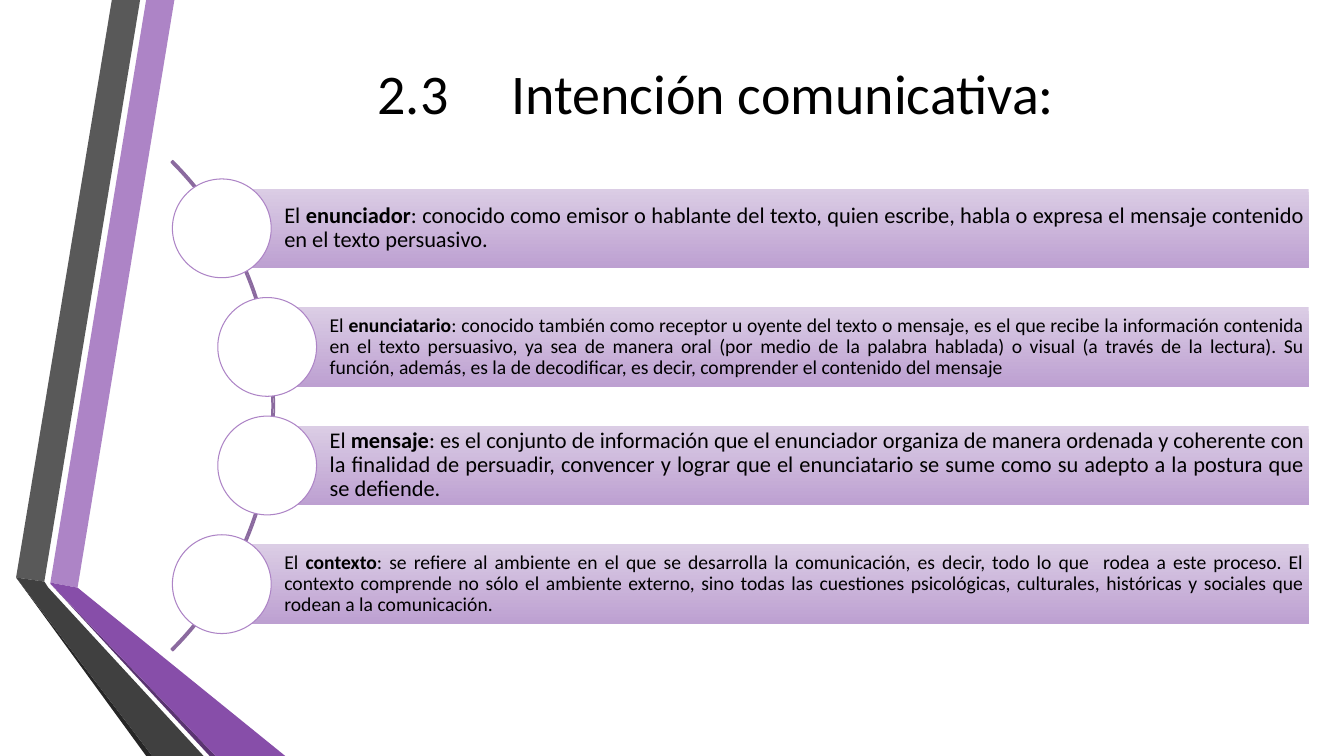
from pptx import Presentation
from pptx.dml.color import RGBColor
from pptx.enum.shapes import MSO_SHAPE
from pptx.enum.text import MSO_ANCHOR, PP_ALIGN
from pptx.util import Inches, Pt

TITLE = "2.3     Intención comunicativa:"

# bar left edge, text size key, term, explanation
CONCEPTS = [
    (2.2, "large", "enunciador",
     ": conocido como emisor o hablante del texto, quien escribe, habla o expresa "
     "el mensaje contenido en el texto persuasivo. "),
    (2.65, "small", "enunciatario",
     ": conocido también como receptor u oyente del texto o mensaje, es el que recibe "
     "la información contenida en el texto persuasivo, ya sea de manera oral (por medio "
     "de la palabra hablada) o visual (a través de la lectura). Su función, además, es "
     "la de decodificar, es decir, comprender el contenido del mensaje"),
    (2.65, "large", "mensaje",
     ": es el conjunto de información que el enunciador organiza de manera ordenada y "
     "coherente con la finalidad de persuadir, convencer y lograr que el enunciatario "
     "se sume como su adepto a la postura que se defiende."),
    (2.2, "small", "contexto",
     ": se refiere al ambiente en el que se desarrolla la comunicación, es decir, todo "
     "lo que  rodea a este proceso. El contexto comprende no sólo el ambiente externo, "
     "sino todas las cuestiones psicológicas, culturales, históricas y sociales que "
     "rodean a la comunicación."),
]

# colour key, outline points
RIBBONS = [
    ("lilac", [(0.5, 5.78), (0.77, 5.83), (1.73, 0), (1.45, 0)]),
    ("gray", [(1.39, 0), (1.11, 0), (0.16, 5.73), (0.44, 5.77)]),
    ("black_edge", [(0.16, 5.73), (1.45, 7.5), (1.51, 7.5)]),
    ("plum_edge", [(0.5, 5.79), (2.08, 7.5), (2.14, 7.5)]),
    ("purple", [(0.5, 5.79), (2.14, 7.5), (2.83, 7.5), (0.77, 5.83), (0.5, 5.78)]),
    ("dark_gray", [(2.02, 7.5), (0.48, 5.83), (0.44, 5.77), (0.16, 5.73), (1.51, 7.5)]),
]

THEME = {
    "font": "Calibri",
    "sizes": {"title": Pt(40), "large": Pt(16), "small": Pt(14)},
    "colors": {name: RGBColor.from_string(value) for name, value in {
        "text": "000000", "white": "FFFFFF", "lilac": "AD84C6", "gray": "595959",
        "black_edge": "262626", "plum_edge": "5A3471", "purple": "874EA9",
        "dark_gray": "404040", "arc": "8B6A9F",
        "bar_top": "DBCDE5", "bar_bottom": "BDA0D1",
    }.items()},
}
COLORS = THEME["colors"]

BAR_RIGHT, BAR_HEIGHT = 12.98, 0.79
FIRST_BAR_TOP, LAST_BAR_TOP = 1.87, 5.4
CIRCLE = 0.98
ARC_BOX = (-4.15, 0.59, 6.87, 6.87)
ARC_ADJUSTMENTS = (189, 27, 0.003)


def add_preset(page, preset, *box):
    shape = page.shapes.add_shape(preset, *map(Inches, box))
    shape.shadow.inherit = False
    return shape


def style_paragraph(para, size, alignment):
    para.alignment = alignment
    para.line_spacing = 0.9
    para.font.name = THEME["font"]
    para.font.size = THEME["sizes"][size]
    para.font.color.rgb = COLORS["text"]


def add_ribbon(page, color, points):
    start, *others = [(Inches(x), Inches(y)) for x, y in points]
    builder = page.shapes.build_freeform(*start)
    builder.add_line_segments(others, close=True)
    ribbon = builder.convert_to_shape()
    ribbon.shadow.inherit = False
    ribbon.fill.solid()
    ribbon.fill.fore_color.rgb = COLORS[color]
    ribbon.line.fill.background()


def add_title(page):
    box = page.shapes.add_textbox(*map(Inches, (1.62, 0, 10.96, 1.92)))
    frame = box.text_frame
    frame.word_wrap = True
    frame.vertical_anchor = MSO_ANCHOR.MIDDLE
    frame.text = TITLE
    style_paragraph(frame.paragraphs[0], "title", PP_ALIGN.CENTER)


def add_arc(page):
    arc = add_preset(page, MSO_SHAPE.BLOCK_ARC, *ARC_BOX)
    for index, value in enumerate(ARC_ADJUSTMENTS):
        arc.adjustments[index] = value
    arc.fill.background()
    arc.line.color.rgb = COLORS["arc"]
    arc.line.width = Pt(1.25)


def add_bar(page, left, top, size, term, explanation):
    bar = add_preset(page, MSO_SHAPE.RECTANGLE, left, top, BAR_RIGHT - left, BAR_HEIGHT)
    bar.line.fill.background()
    bar.fill.gradient()
    bar.fill.gradient_angle = 270
    for stop, color in zip(bar.fill.gradient_stops, ("bar_top", "bar_bottom")):
        stop.color.rgb = COLORS[color]

    frame = bar.text_frame
    frame.word_wrap = True
    frame.vertical_anchor = MSO_ANCHOR.MIDDLE
    frame.margin_left = Inches(0.62)
    frame.margin_top = frame.margin_right = frame.margin_bottom = Inches(0.04)
    para = frame.paragraphs[0]
    style_paragraph(para, size, PP_ALIGN.JUSTIFY)
    for text in ("El ", term, explanation):
        span = para.add_run()
        span.text = text
        if text == term:
            span.font.bold = True


def add_circle(page, center_x, center_y):
    circle = add_preset(page, MSO_SHAPE.OVAL, center_x - CIRCLE / 2,
                        center_y - CIRCLE / 2, CIRCLE, CIRCLE)
    circle.fill.solid()
    circle.fill.fore_color.rgb = COLORS["white"]
    circle.line.color.rgb = COLORS["lilac"]
    circle.line.width = Pt(0.75)


def main():
    deck = Presentation()
    deck.slide_width, deck.slide_height = Inches(13.33), Inches(7.5)
    page = deck.slides.add_slide(deck.slide_layouts[6])
    for color, points in RIBBONS:
        add_ribbon(page, color, points)
    add_title(page)
    add_arc(page)
    pitch = (LAST_BAR_TOP - FIRST_BAR_TOP) / (len(CONCEPTS) - 1)
    for row, (left, size, term, explanation) in enumerate(CONCEPTS):
        top = FIRST_BAR_TOP + row * pitch
        add_bar(page, left, top, size, term, explanation)
        add_circle(page, left, top + BAR_HEIGHT / 2)
    deck.save("out.pptx")


if __name__ == "__main__":
    main()
